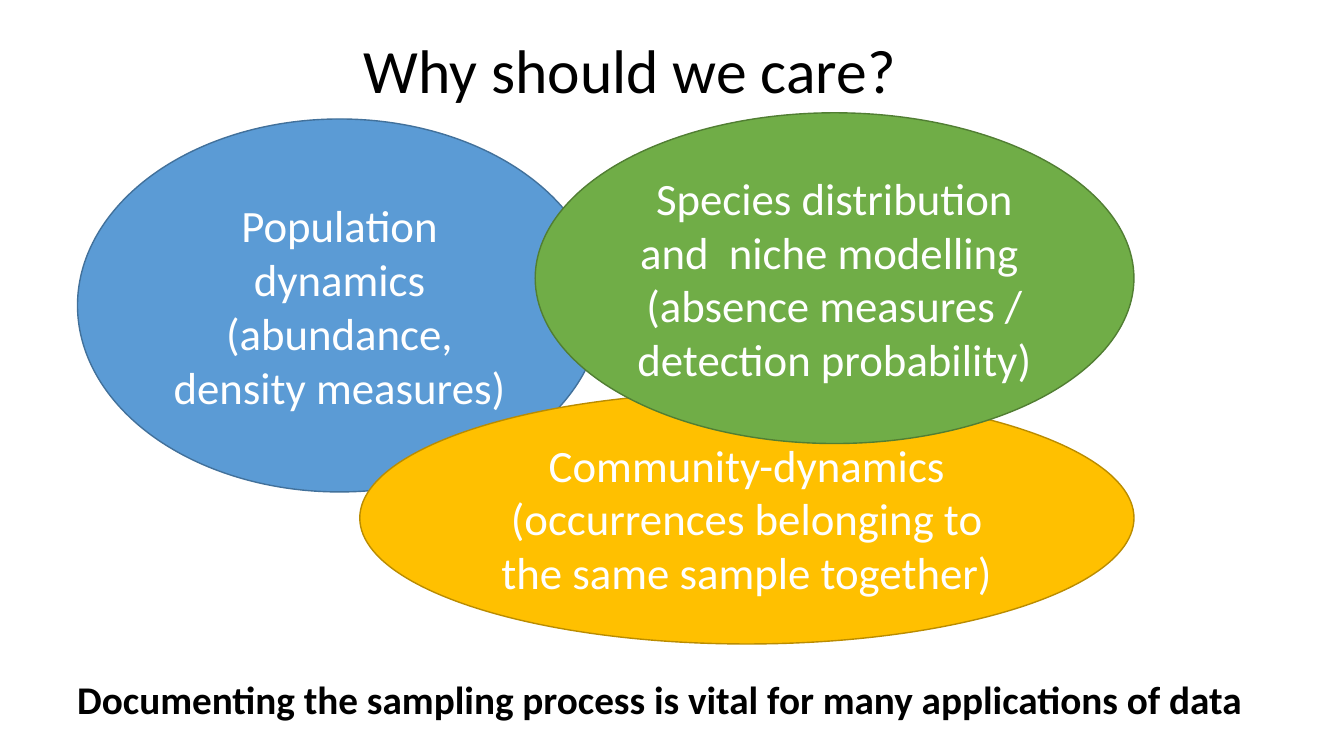
from dataclasses import dataclass

from pptx import Presentation
from pptx.dml.color import RGBColor
from pptx.enum.shapes import MSO_SHAPE
from pptx.enum.text import MSO_ANCHOR, MSO_AUTO_SIZE, PP_ALIGN
from pptx.util import Pt


@dataclass(frozen=True)
class Theme:
    """Colours, font and type sizes of the slide."""
    font: str = "Calibri"
    dark: str = "000000"
    light: str = "FFFFFF"
    blue: tuple = ("5B9BD5", "42719B")
    amber: tuple = ("FFC000", "BA8C00")
    green: tuple = ("70AD47", "517E33")
    title_size: int = 44
    topic_size: int = 32
    message_size: int = 28
    outline: int = 1


THEME = Theme()


def apply_format(target, values):
    """Set each named attribute of the target."""
    for name, value in values.items():
        setattr(target, name, value)


def write_text(frame, lines, size, color, anchor, bold=False, spacing=1.0):
    """Fill a text frame with centred paragraphs."""
    apply_format(frame, {
        "text": "\n".join(lines),
        "word_wrap": True,
        "auto_size": MSO_AUTO_SIZE.NONE,
        "vertical_anchor": anchor,
    })
    for paragraph in frame.paragraphs:
        apply_format(paragraph, {"alignment": PP_ALIGN.CENTER, "line_spacing": spacing})
        apply_format(paragraph.font, {"name": THEME.font, "size": Pt(size), "bold": bold})
        paragraph.font.color.rgb = RGBColor.from_string(color)


def add_title(slide, box, wording):
    """Place and format the slide title."""
    title = slide.shapes.title
    apply_format(title, dict(zip(("left", "top", "width", "height"), map(Pt, box))))
    write_text(title.text_frame, [wording], THEME.title_size, THEME.dark,
               MSO_ANCHOR.MIDDLE, spacing=0.9)


def add_message(slide, box, wording):
    """Add the bold closing message."""
    message = slide.shapes.add_textbox(*map(Pt, box))
    write_text(message.text_frame, [wording], THEME.message_size, THEME.dark,
               MSO_ANCHOR.TOP, bold=True)


def add_topic(slide, box, colors, lines):
    """Add one outlined ellipse with its topic text."""
    topic = slide.shapes.add_shape(MSO_SHAPE.OVAL, *map(Pt, box))
    fill, outline = map(RGBColor.from_string, colors)
    topic.shadow.inherit = False
    topic.fill.solid()
    topic.fill.fore_color.rgb = fill
    topic.line.color.rgb = outline
    topic.line.width = Pt(THEME.outline)
    write_text(topic.text_frame, lines, THEME.topic_size, THEME.light, MSO_ANCHOR.MIDDLE)


def main():
    """Build and save the slide."""
    deck = Presentation()
    apply_format(deck, {"slide_width": Pt(960), "slide_height": Pt(540)})
    slide = deck.slides.add_slide(deck.slide_layouts.get_by_name("Title Only"))

    add_title(slide, (41, 0, 828, 104.4), "Why should we care? ")
    add_message(slide, (-18, 478.8, 978, 41),
                "Documenting the sampling process is vital for many applications of data")

    topics = [
        ((55.4, 85, 374.4, 266.4), THEME.blue,
         ["Population dynamics (abundance, density measures)"]),
        ((257, 280, 553, 180), THEME.amber,
         ["Community-dynamics", "(occurrences belonging to the same sample together)"]),
        ((382.3, 80.6, 427.7, 236.2), THEME.green,
         ["Species distribution and  niche modelling ",
          "(absence measures / detection probability)"]),
    ]
    for box, colors, lines in topics:
        add_topic(slide, box, colors, lines)

    deck.save("out.pptx")


if __name__ == "__main__":
    main()
